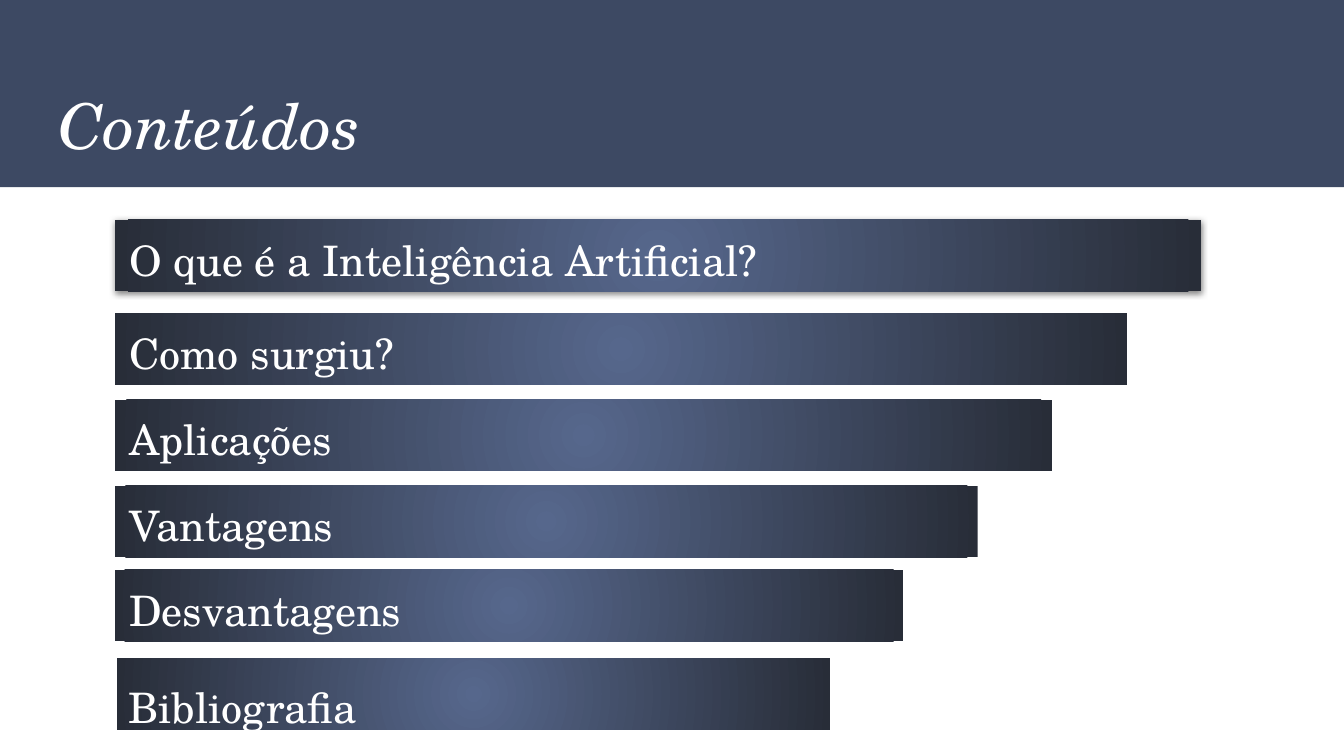
from dataclasses import dataclass
from lxml.etree import SubElement
from pptx import Presentation
from pptx.dml.color import RGBColor
from pptx.enum.shapes import MSO_SHAPE
from pptx.enum.text import MSO_ANCHOR, MSO_AUTO_SIZE, PP_ALIGN
from pptx.oxml import parse_xml
from pptx.oxml.ns import nsdecls, qn
from pptx.util import Cm, Pt


@dataclass(frozen=True)
class Theme:
    band: RGBColor = RGBColor.from_string("3D4963")
    glow: RGBColor = RGBColor.from_string("56678C")
    edge: RGBColor = RGBColor.from_string("282D38")
    text: RGBColor = RGBColor.from_string("FFFFFF")
    font: str = "TeX Gyre Schola"
    title: Pt = Pt(45)
    item: Pt = Pt(30)


theme = Theme()


def add_box(left, top, width, height):
    box = slide.shapes.add_shape(
        MSO_SHAPE.RECTANGLE, Cm(left), Cm(top), Cm(width), Cm(height))
    box.shadow.inherit = False
    box.line.fill.background()
    return box


def set_text(frame, text, size, pad):
    frame.text = text
    frame.word_wrap = True
    frame.auto_size = MSO_AUTO_SIZE.NONE
    frame.margin_left = frame.margin_right = Cm(pad)
    para = frame.paragraphs[0]
    para.alignment = PP_ALIGN.LEFT
    para.font.name = theme.font
    para.font.size = size
    para.font.color.rgb = theme.text
    return para


deck = Presentation()
deck.slide_width, deck.slide_height = Cm(33.87), Cm(19.05)
slide = deck.slides.add_slide(deck.slide_layouts[5])

band = add_box(0, 0, 33.87, 4.72)
band.fill.solid()
band.fill.fore_color.rgb = theme.band

title = slide.shapes.title
title.element.addprevious(band.element)
title.left, title.top = Cm(1.14), Cm(1.85)
title.width, title.height = Cm(31.55), Cm(2.31)
frame = title.text_frame
set_text(frame, "Conteúdos", theme.title, 0.33).font.italic = True
frame.vertical_anchor = MSO_ANCHOR.TOP
frame.margin_top = frame.margin_bottom = Cm(0.33)

topics = [
    ("O que é a Inteligência Artificial?", 2.9, 5.54, 0.36, 0),
    ("Como surgiu?", 2.9, 7.9, 0.36, 0),
    ("Aplicações", 2.9, 10.07, 0.36, 0),
    ("Vantagens", 2.9, 12.24, 0.36, 0),
    ("Desvantagens", 2.9, 14.36, 0.36, 0),
    ("Bibliografia", 2.95, 16.59, 0.28, 0.43),
]
bars = []
for row, (text, left, top, pad, drop) in enumerate(topics):
    bar = add_box(left, top, 27.38 - 1.88 * row, 1.8)
    bar.fill.gradient()
    for stop, tone in zip(bar.fill.gradient_stops, (theme.glow, theme.edge)):
        stop.color.rgb = tone
    line = bar.element.spPr.find(".//" + qn("a:lin"))
    line.getparent().replace(line, parse_xml(
        f'<a:path {nsdecls("a")} path="circle"><a:fillToRect '
        'l="50000" t="50000" r="50000" b="50000"/></a:path>'))
    frame = bar.text_frame
    set_text(frame, text, theme.item, pad).line_spacing = 1.15
    frame.vertical_anchor = MSO_ANCHOR.MIDDLE
    frame.margin_top, frame.margin_bottom = Cm(drop), 0
    bars.append(bar)

glow = bars[0].element.spPr.find(qn("a:effectLst"))
shade = SubElement(glow, qn("a:outerShdw"), blurRad=str(Pt(4.5)),
                   dist=str(Pt(1.5)), dir="5400000", algn="t", rotWithShape="0")
tint = SubElement(shade, qn("a:srgbClr"), val="000000")
SubElement(tint, qn("a:alpha"), val="50000")

deck.save("out.pptx")
